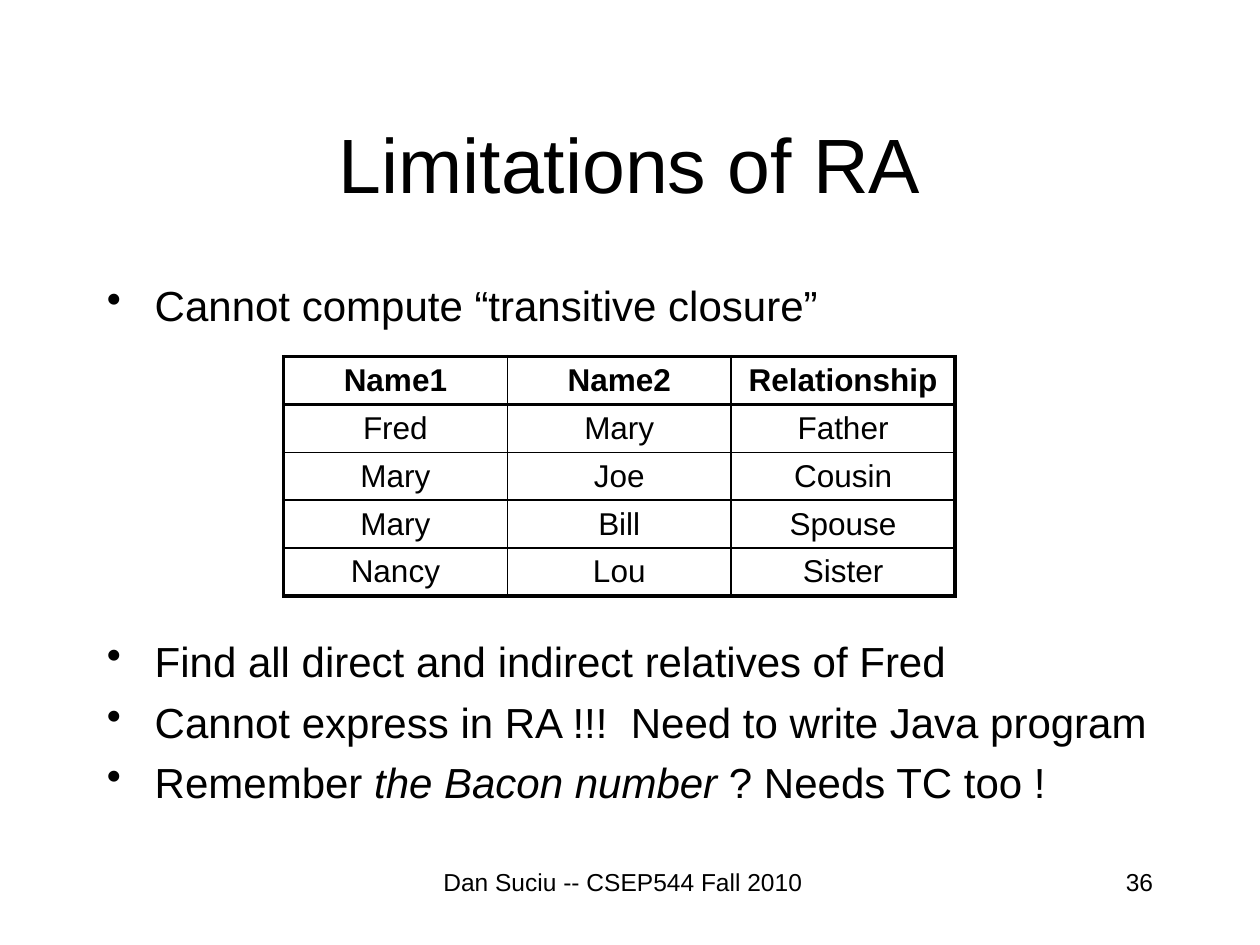
from typing import NamedTuple

from lxml import etree
from pptx import Presentation
from pptx.dml.color import RGBColor
from pptx.enum.text import MSO_ANCHOR, PP_ALIGN
from pptx.oxml.ns import qn
from pptx.util import Inches, Pt

BLACK = RGBColor(0, 0, 0)
WHITE = RGBColor(255, 255, 255)
FONT = "Arial"
LEFT, CENTER, RIGHT = PP_ALIGN.LEFT, PP_ALIGN.CENTER, PP_ALIGN.RIGHT
MIDDLE = MSO_ANCHOR.MIDDLE
THICK, THIN = 2.25, 1
GAP = 5.8
TABLE_GAP = 174.6


class Box(NamedTuple):
    """Place and size in inches."""
    left: float
    top: float
    width: float
    height: float


class Bullet(NamedTuple):
    """Runs of text, each with its italic flag, and the space above."""
    runs: list[tuple[str, bool]]
    above: float = GAP


class Note(NamedTuple):
    """A small line of text at the foot of the slide."""
    text: str
    box: Box
    align: PP_ALIGN
    inset: float = 0.1


BULLETS = [
    Bullet([("Cannot compute “transitive closure”", False)]),
    Bullet([("Find all direct and indirect relatives of Fred", False)], TABLE_GAP),
    Bullet([("Cannot express in RA !!!  Need to write Java program", False)]),
    Bullet([("Remember ", False), ("the Bacon number", True),
            (" ? Needs TC too !", False)]),
]
ROWS = [
    ("Name1", "Name2", "Relationship"),
    ("Fred", "Mary", "Father"),
    ("Mary", "Joe", "Cousin"),
    ("Mary", "Bill", "Spouse"),
    ("Nancy", "Lou", "Sister"),
]
NOTES = [
    Note("36", Box(7.17, 6.83, 2.08, 0.5), RIGHT),
    Note("Dan Suciu -- CSEP544 Fall 2010", Box(3.42, 6.83, 3.17, 0.5), CENTER, 0.22),
]


def inches(box: Box) -> list[int]:
    """Turn a box into lengths."""
    return [Inches(side) for side in box]


def style(para, size: float, align: PP_ALIGN, bold: bool = False) -> None:
    """Set the font and alignment of a paragraph."""
    para.alignment = align
    font = para.font
    font.name, font.size, font.bold = FONT, Pt(size), bold
    font.color.rgb = BLACK


def add_title(slide, text: str, box: Box) -> None:
    """Fill and place the title."""
    title = slide.shapes.title
    title.left, title.top, title.width, title.height = inches(box)
    title.text_frame.text = text
    title.text_frame.vertical_anchor = MIDDLE
    style(title.text_frame.paragraphs[0], 44, CENTER)


def add_list(slide, items: list[Bullet], box: Box) -> None:
    """Draw the bulleted list, leaving room for the table."""
    frame = slide.shapes.add_textbox(*inches(box)).text_frame
    frame.word_wrap = True
    for num, item in enumerate(items):
        para = frame.add_paragraph() if num else frame.paragraphs[0]
        style(para, 24, LEFT)
        para.space_before = Pt(item.above)
        for text, italic in item.runs:
            run = para.add_run()
            run.text, run.font.italic = text, italic
        props = para._p.get_or_add_pPr()
        props.set("marL", str(Inches(0.38)))
        props.set("indent", str(-Inches(0.38)))
        mark = etree.Element(qn("a:buChar"), char="•")
        props.find(qn("a:defRPr")).addprevious(mark)


def add_edge(cell, side: str, width: float) -> None:
    """Draw one border of a cell."""
    line = etree.SubElement(cell._tc.get_or_add_tcPr(), qn(f"a:ln{side}"),
                            w=str(Pt(width)))
    fill = etree.SubElement(line, qn("a:solidFill"))
    etree.SubElement(fill, qn("a:srgbClr"), val=str(BLACK))


def add_grid(slide, rows: list[tuple[str, ...]], box: Box) -> None:
    """Draw the table with a thick frame and a thick line under its head."""
    last_row, last_col = len(rows) - 1, len(rows[0]) - 1
    table = slide.shapes.add_table(len(rows), len(rows[0]), *inches(box)).table
    table.first_row = table.horz_banding = False
    for r, row in enumerate(rows):
        for c, text in enumerate(row):
            cell = table.cell(r, c)
            cell.text = text
            cell.vertical_anchor = MIDDLE
            cell.margin_top = cell.margin_bottom = Inches(0.04)
            cell.margin_left = cell.margin_right = Inches(0.05)
            style(cell.text_frame.paragraphs[0], 18, CENTER, r == 0)
            thick = {"L": c == 0, "R": c == last_col,
                     "T": r <= 1, "B": r in (0, last_row)}
            for side, heavy in thick.items():
                add_edge(cell, side, THICK if heavy else THIN)
            cell.fill.background()


def add_note(slide, note: Note) -> None:
    """Draw a line of text at the foot."""
    frame = slide.shapes.add_textbox(*inches(note.box)).text_frame
    frame.word_wrap = True
    frame.margin_right = Inches(note.inset)
    frame.text = note.text
    style(frame.paragraphs[0], 14, note.align)


def main() -> None:
    """Build and save the slide."""
    deck = Presentation()
    deck.slide_width, deck.slide_height = Inches(10), Inches(7.5)
    slide = deck.slides.add_slide(deck.slide_layouts[5])
    slide.background.fill.solid()
    slide.background.fill.fore_color.rgb = WHITE
    add_title(slide, "Limitations of RA", Box(0.75, 0.67, 8.5, 1.25))
    add_list(slide, BULLETS, Box(0.75, 2.17, 8.67, 4.5))
    add_grid(slide, ROWS, Box(2.25, 2.83, 5.33, 1.9))
    for note in NOTES:
        add_note(slide, note)
    deck.save("out.pptx")


main()
